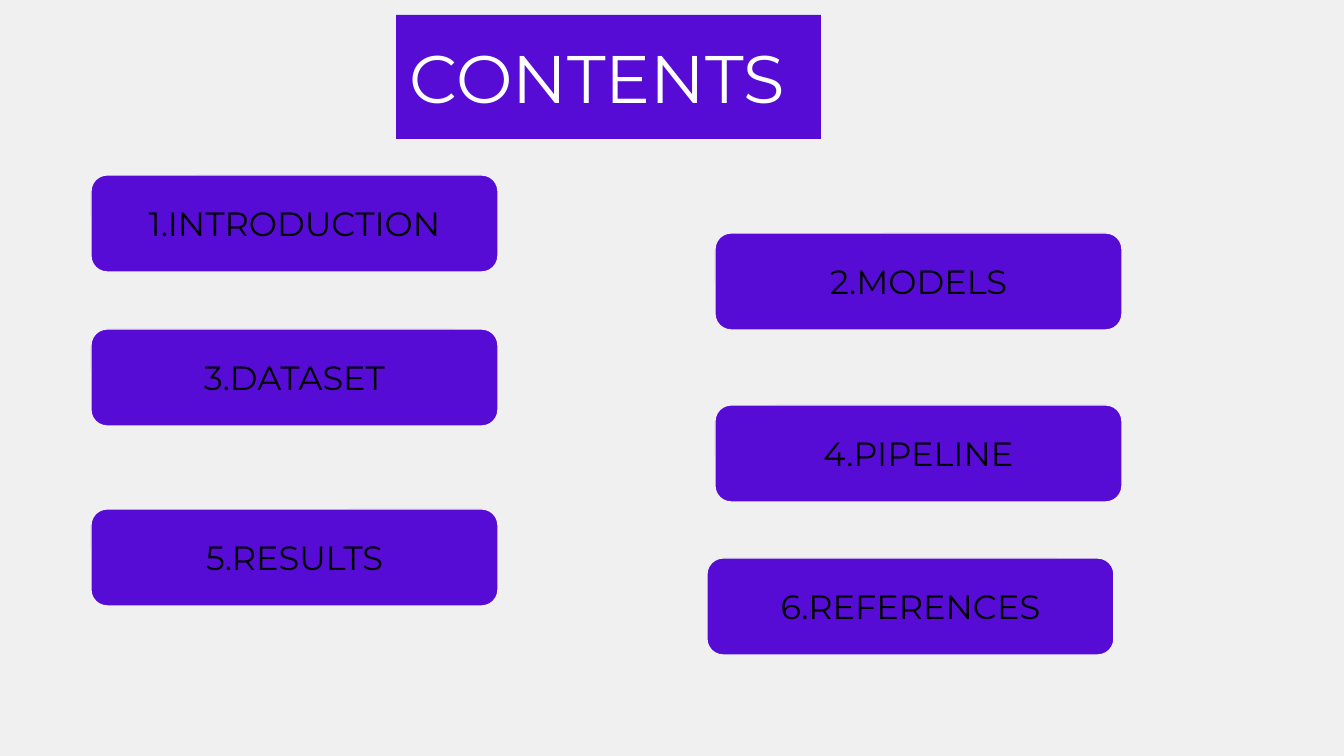
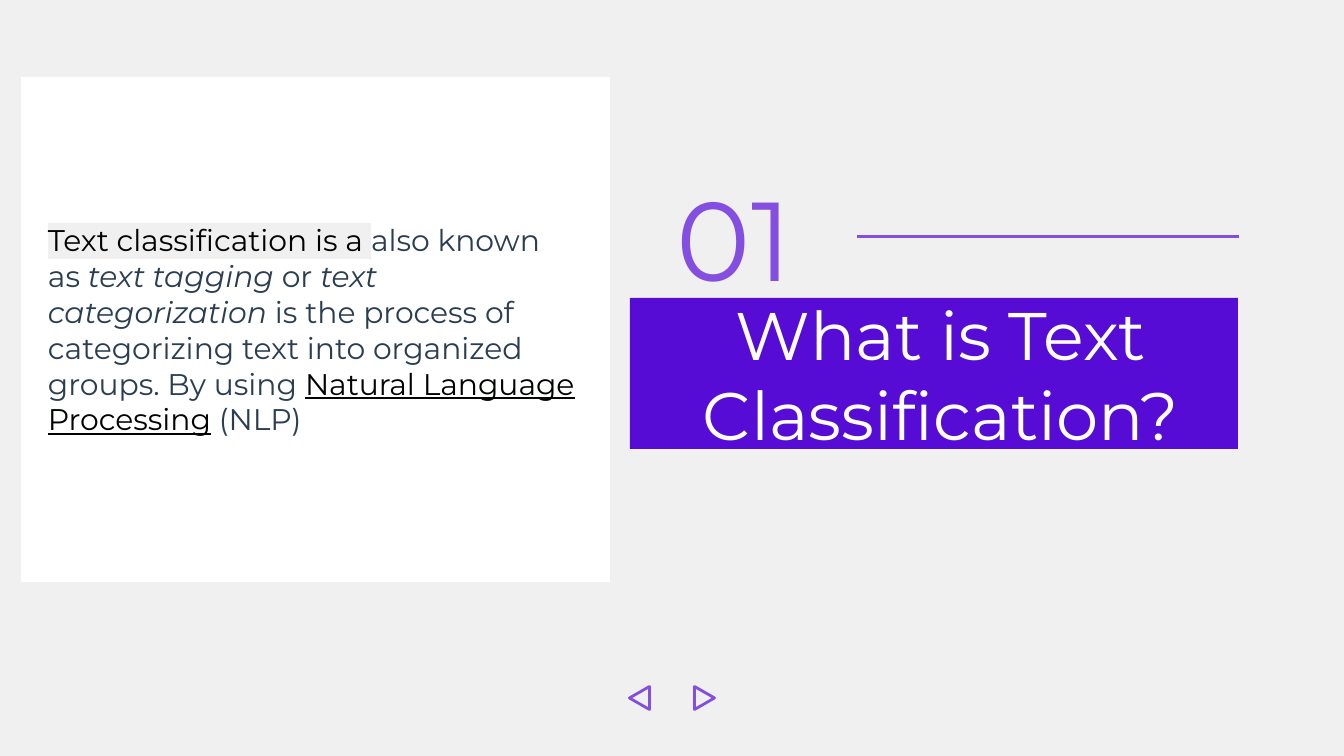
from dataclasses import dataclass

from lxml import etree
from pptx import Presentation
from pptx import util as u
from pptx.dml.color import RGBColor
from pptx.enum import shapes, text
from pptx.oxml import ns

SCALE = 9144000 / 1344
PAGE_SIZE = (1344, 756)
TITLE_ONLY = 5
HARD_SPACE = chr(160)
LEFT, CENTER = text.PP_ALIGN.LEFT, text.PP_ALIGN.CENTER


@dataclass(frozen=True)
class Theme:
    """Hold the colours, font and type sizes of the deck."""
    ground: str = "F0F0F0"
    band: str = "560CD5"
    accent: str = "844FE0"
    panel: str = "FFFFFF"
    title_ink: str = "FFFFFF"
    card_ink: str = "000000"
    strong_ink: str = "000300"
    body_ink: str = "2B3E51"
    font: str = "Montserrat"
    number_size: int = 60
    title_size: int = 36
    card_size: int = 18
    body_size: int = 16
    card_line: float = 0.75
    accent_line: float = 1.5
    inset: int = 13
    wide_inset: int = 27


THEME = Theme()


def px(length):
    """Turn a length in px into EMU."""
    return u.Emu(round(length * SCALE))


def assign(target, values):
    """Set each attribute of target from a dict."""
    for name, value in values.items():
        setattr(target, name, value)


def place(item, box):
    """Move and size an item to a box in px."""
    assign(item, dict(zip(("left", "top", "width", "height"), map(px, box))))


def paint(fill, colour):
    """Give a fill one solid colour."""
    fill.solid()
    fill.fore_color.rgb = RGBColor.from_string(colour)


def outline(line, colour, width):
    """Give a line its colour and its width in points."""
    line.color.rgb = RGBColor.from_string(colour)
    line.width = u.Pt(width)


def highlight(span, colour):
    """Mark a text span with a background colour."""
    mark = etree.Element(ns.qn("a:highlight"))
    etree.SubElement(mark, ns.qn("a:srgbClr"), val=colour)
    span.font.fill._xPr.find(ns.qn("a:solidFill")).addnext(mark)


def write(item, spans, size, align=LEFT, inset=THEME.inset):
    """Fill an item with one paragraph of (text, colour, format, mark) spans."""
    frame = item.text_frame
    assign(frame, {
        "word_wrap": True, "auto_size": text.MSO_AUTO_SIZE.NONE,
        "vertical_anchor": text.MSO_ANCHOR.MIDDLE, "margin_left": px(inset),
        "margin_top": px(THEME.inset), "margin_right": px(THEME.inset),
        "margin_bottom": px(THEME.inset)})
    para = frame.paragraphs[0]
    para.alignment = align
    for words, colour, style, mark in spans:
        span = para.add_run()
        span.text = words
        assign(span.font, {"name": THEME.font, "size": u.Pt(size), **style})
        span.font.color.rgb = RGBColor.from_string(colour)
        if mark:
            highlight(span, mark)


def add_box(page, kind, box, fill=None, line=None):
    """Add a preset shape with an optional fill and (colour, width) line."""
    item = page.shapes.add_shape(kind, *map(px, box))
    item.shadow.inherit = False
    if fill:
        paint(item.fill, fill)
    else:
        item.fill.background()
    if line:
        outline(item.line, *line)
    else:
        item.line.fill.background()
    return item


def add_page(deck, title, box, align=LEFT, inset=THEME.inset):
    """Add a page with the shared ground and the title band."""
    page = deck.slides.add_slide(deck.slide_layouts[TITLE_ONLY])
    paint(page.background.fill, THEME.ground)
    band = page.shapes.title
    place(band, box)
    paint(band.fill, THEME.band)
    write(band, [(title, THEME.title_ink, {}, None)], THEME.title_size, align, inset)
    return page


def add_card(page, left, top, label):
    """Add one rounded contents card."""
    card = add_box(page, shapes.MSO_SHAPE.ROUNDED_RECTANGLE, (left, top, 407, 97),
                   THEME.band, (THEME.ground, THEME.card_line))
    write(card, [(label, THEME.card_ink, {}, None)], THEME.card_size, CENTER)


def add_definition(page, box):
    """Add the white panel with the definition."""
    plain, strong = THEME.body_ink, THEME.strong_ink
    panel = add_box(page, shapes.MSO_SHAPE.RECTANGLE, box, THEME.panel)
    write(panel, [
        ("Text classification is a ", strong, {}, THEME.ground),
        (f"also known as{HARD_SPACE}", plain, {}, None),
        ("text tagging", plain, {"italic": True}, None),
        (f"{HARD_SPACE}or{HARD_SPACE}", plain, {}, None),
        ("text categorization", plain, {"italic": True}, None),
        (f"{HARD_SPACE}is the process of categorizing text into organized groups. "
         f"By using{HARD_SPACE}", plain, {}, None),
        ("Natural Language Processing", strong, {"underline": True}, None),
        (f"{HARD_SPACE}(NLP)", plain, {}, None),
    ], THEME.body_size, inset=THEME.wide_inset)


def add_section_number(page, box, number, rule_length):
    """Add the section number and the rule that leaves its right side."""
    left, top, width, height = box
    label = page.shapes.add_textbox(*map(px, box))
    write(label, [(number, THEME.accent, {}, None)], THEME.number_size,
          inset=THEME.wide_inset)
    start, middle = left + width, top + height / 2
    rule = page.shapes.add_connector(
        shapes.MSO_CONNECTOR.STRAIGHT,
        *map(px, (start, middle, start + rule_length, middle)))
    rule.begin_connect(label, 3)
    rule.end_y = rule.begin_y
    outline(rule.line, THEME.accent, THEME.accent_line)
    etree.SubElement(rule._element.spPr, ns.qn("a:effectLst"))


def add_arrows(page, box, gap):
    """Add the back and forward triangles."""
    left, top, width, height = box
    for index, turn in enumerate((270, 90)):
        arrow = add_box(page, shapes.MSO_SHAPE.ISOSCELES_TRIANGLE,
                        (left + index * (width + gap), top, width, height),
                        line=(THEME.accent, THEME.accent_line))
        arrow.rotation = turn


def build_contents(deck):
    """Build the contents page."""
    page = add_page(deck, "CONTENTS", (396, 15, 425, 124))
    for card in (
        (91, 175, "1.INTRODUCTION"), (715, 233, "2.MODELS"),
        (91, 329, "3.DATASET"), (715, 405, "4.PIPELINE"),
        (91, 509, "5.RESULTS"), (707, 558, "6.REFERENCES"),
    ):
        add_card(page, *card)


def build_section(deck):
    """Build the section page with its definition."""
    page = add_page(deck, "What is Text Classification?", (630, 298, 608, 151),
                    CENTER, THEME.wide_inset)
    add_definition(page, (21, 77, 589, 505))
    add_section_number(page, (650, 174, 207, 125), "01", 382)
    add_arrows(page, (628, 688, 23, 20), 42)


def main():
    """Build and save the deck."""
    deck = Presentation()
    deck.slide_width, deck.slide_height = map(px, PAGE_SIZE)
    build_contents(deck)
    build_section(deck)
    deck.save("out.pptx")


if __name__ == "__main__":
    main()
